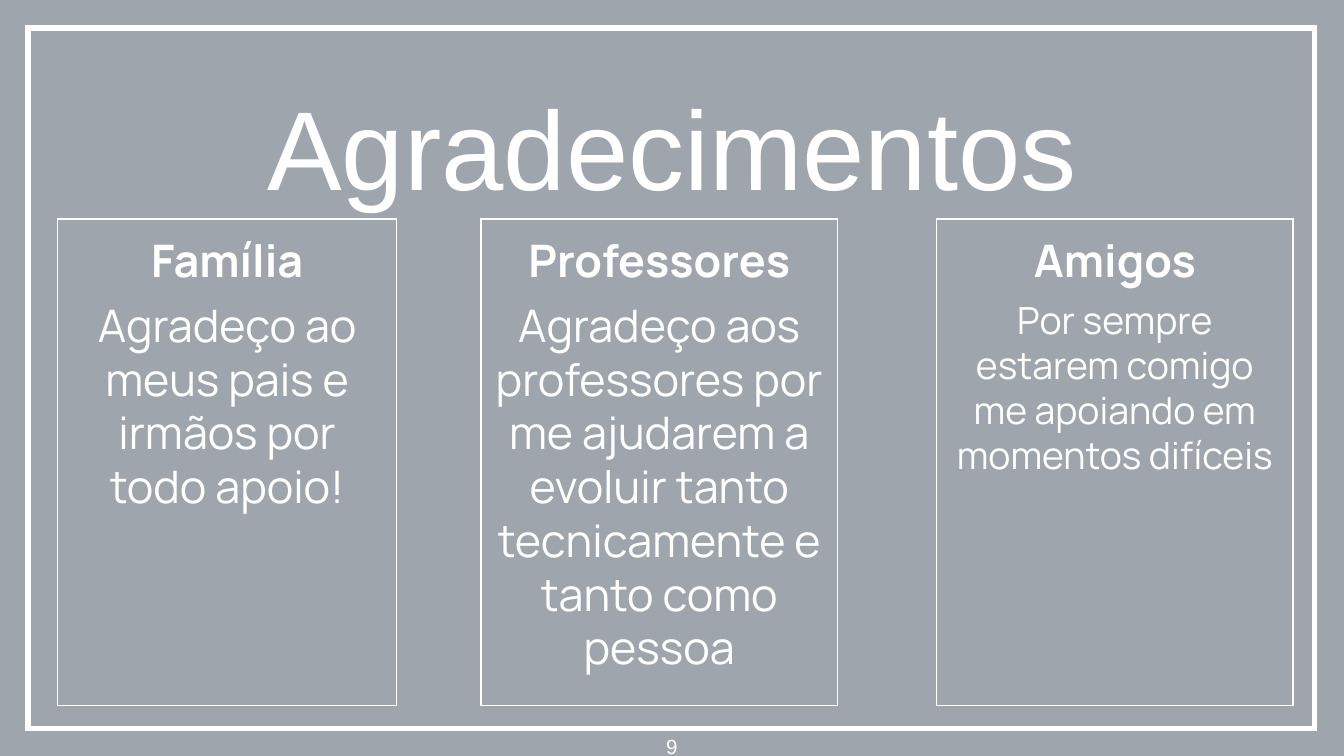
from dataclasses import dataclass

from lxml import etree
from pptx import Presentation
from pptx.dml.color import RGBColor
from pptx.enum.shapes import MSO_SHAPE
from pptx.enum.text import MSO_ANCHOR, MSO_AUTO_SIZE, PP_ALIGN
from pptx.oxml.ns import qn
from pptx.util import Inches, Pt

RECTANGLE = MSO_SHAPE.RECTANGLE
CENTER = PP_ALIGN.CENTER
TOP, MIDDLE = MSO_ANCHOR.TOP, MSO_ANCHOR.MIDDLE
NO_AUTOFIT = MSO_AUTO_SIZE.NONE


@dataclass(frozen=True)
class Theme:
    """Colours, fonts, sizes and line widths of the slide."""
    white: RGBColor = RGBColor(0xFF, 0xFF, 0xFF)
    navy: RGBColor = RGBColor(0x02, 0x15, 0x26)
    tint_percent: int = 38
    title_font: str = "Arial"
    body_font: str = "Manrope"
    title_size: int = 60
    heading_size: int = 24
    small_body_size: int = 20
    number_size: int = 11
    frame_line: float = 3
    card_line: float = 0.75
    card_spacing: int = 6


THEME = Theme()


def place(shape, box):
    """Move a shape to a box of left, top, width and height in inches."""
    for name, value in zip(("left", "top", "width", "height"), box):
        setattr(shape, name, Inches(value))


def prepare_text(shape, anchor):
    """Set wrapping, anchor and equal insets, and return the text frame."""
    frame = shape.text_frame
    settings = {"word_wrap": True, "auto_size": NO_AUTOFIT, "vertical_anchor": anchor}
    settings.update({f"margin_{side}": Inches(0.1)
                     for side in ("left", "top", "right", "bottom")})
    for name, value in settings.items():
        setattr(frame, name, value)
    return frame


def write(para, text, size, font, bold=False, spacing=0):
    """Fill a paragraph with one centred white span."""
    for name, value in {"alignment": CENTER, "space_before": Pt(spacing)}.items():
        setattr(para, name, value)
    span = para.add_run()
    span.text = text
    for name, value in {"size": Pt(size), "name": font, "bold": bold}.items():
        setattr(span.font, name, value)
    span.font.color.rgb = THEME.white


def outline(shape, width):
    """Give a shape a white line with sharp corners and no fill."""
    shape.fill.background()
    shape.line.color.rgb = THEME.white
    shape.line.width = Pt(width)
    line = shape.line.fill._xPr
    etree.SubElement(line, qn("a:miter"), lim="800000")


def add_rectangle(page, box):
    """Add a rectangle without shadow."""
    shape = page.shapes.add_shape(RECTANGLE, *map(Inches, box))
    shape.shadow.inherit = False
    return shape


def add_backdrop(page, box):
    """Add the translucent tint and the white frame behind everything else."""
    left, top, width, height = box
    tint = add_rectangle(page, box)
    tint.fill.solid()
    tint.fill.fore_color.rgb = THEME.navy
    tint.line.fill.background()
    color = tint.fill._xPr.find(qn("a:solidFill"))[0]
    etree.SubElement(color, qn("a:alpha"), val=str(THEME.tint_percent * 1000))
    border = add_rectangle(page, (left + 0.21, top + 0.21, width - 0.43, height - 0.43))
    outline(border, THEME.frame_line)
    tree = page.shapes._spTree
    for index, shape in enumerate((tint, border), start=2):
        tree.insert(index, shape._element)


def fill_title(page, box, text):
    """Place and write the title placeholder."""
    title = page.shapes.title
    place(title, box)
    frame = prepare_text(title, MIDDLE)
    write(frame.paragraphs[0], text, THEME.title_size, THEME.title_font)


def fill_card(card, box, heading, body, body_size):
    """Turn a shape into an outlined card with a heading and a body."""
    place(card, box)
    outline(card, THEME.card_line)
    frame = prepare_text(card, TOP)
    write(frame.paragraphs[0], heading, THEME.heading_size, THEME.body_font,
          True, THEME.card_spacing)
    write(frame.add_paragraph(), body, body_size, THEME.body_font,
          False, THEME.card_spacing)


def add_cards(page, box, cards):
    """Fill the subtitle placeholder and further rectangles as a row of cards."""
    left, top, _, height = box
    for index, (offset, width, heading, body, size) in enumerate(cards):
        card_box = (left + offset, top, width, height)
        card = page.placeholders[1] if index == 0 else add_rectangle(page, card_box)
        fill_card(card, card_box, heading, body, size)


def add_page_number(page, box, number):
    """Add the centred page number."""
    shape = page.shapes.add_textbox(*map(Inches, box))
    frame = prepare_text(shape, TOP)
    write(frame.paragraphs[0], number, THEME.number_size, THEME.title_font)


def main():
    """Build and save the deck."""
    deck = Presentation()
    deck.slide_width = Inches(10)
    deck.slide_height = deck.slide_width * 9 // 16
    page = deck.slides.add_slide(deck.slide_layouts[0])
    cards = (
        (0, 2.52, "Família", "Agradeço ao meus pais e irmãos por todo apoio!",
         THEME.heading_size),
        (3.15, 2.65, "Professores",
         "Agradeço aos professores por me ajudarem a evoluir tanto "
         "tecnicamente e tanto como pessoa", THEME.heading_size),
        (6.54, 2.65, "Amigos",
         "Por sempre estarem comigo me apoiando em momentos difíceis",
         THEME.small_body_size),
    )
    add_backdrop(page, (0, 0, 10, 5.64))
    fill_title(page, (0.75, 0.45, 8.5, 1.27), "Agradecimentos")
    add_cards(page, (0.43, 1.63, 9.19, 3.62), cards)
    add_page_number(page, (0, 5.36, 10, 0.23), "9")
    deck.save("out.pptx")


if __name__ == "__main__":
    main()
